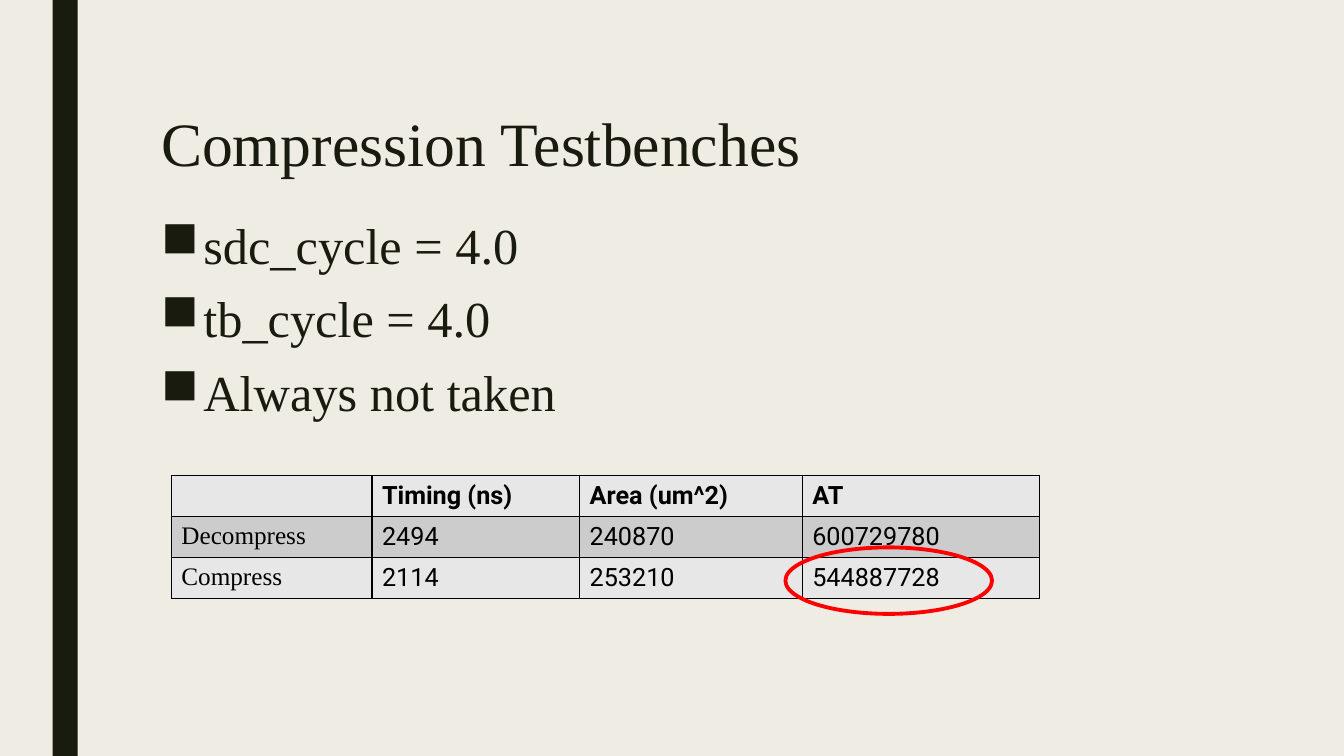
import pptx
import pptx.dml.color
import pptx.enum.shapes
import pptx.enum.text
import pptx.oxml
import pptx.oxml.ns
import pptx.util
from lxml import etree

Pt = pptx.util.Pt
SERIF, SANS = "Times New Roman", "Roboto"
INK, PAPER, BLACK, RED = "191B0E", "EFEDE3", "000000", "FF0000"
LIGHT_ROW, DARK_ROW = "E7E7E7", "CCCCCC"

BULLETS = ["sdc_cycle = 4.0", "tb_cycle = 4.0", "Always not taken"]
RESULTS = [
    ["", "Timing (ns)", "Area (um^2)", "AT"],
    ["Decompress", "2494", "240870", "600729780"],
    ["Compress", "2114", "253210", "544887728"],
]
COLUMN_WIDTHS = [143.3, 148.3, 159.1, 169.2]
ROW_HEIGHT = 29.3


def colour(value):
    """Turn a hex string into a colour."""
    return pptx.dml.color.RGBColor.from_string(value)


def style_font(font, name, size, value, bold=False):
    """Set the face, size, colour and weight of a font."""
    font.name, font.size, font.bold = name, Pt(size), bold
    font.color.rgb = colour(value)


def add_side_bar(slide):
    """Draw the dark vertical bar at the left."""
    bar = slide.shapes.add_shape(
        pptx.enum.shapes.MSO_SHAPE.RECTANGLE, Pt(37.5), Pt(0), Pt(18), Pt(540))
    bar.shadow.inherit = False
    bar.fill.solid()
    bar.fill.fore_color.rgb = colour(INK)
    bar.line.fill.background()


def add_text(slide, lines, left, top, width, height, size, spacing):
    """Add a wrapped serif text box and return its paragraphs."""
    frame = slide.shapes.add_textbox(
        Pt(left), Pt(top), Pt(width), Pt(height)).text_frame
    frame.word_wrap = True
    frame.vertical_anchor = pptx.enum.text.MSO_ANCHOR.TOP
    frame.text = "\n".join(lines)
    for paragraph in frame.paragraphs:
        paragraph.line_spacing = spacing
        style_font(paragraph.runs[0].font, SERIF, size, INK)
    return frame.paragraphs


def add_bullet(paragraph):
    """Give a paragraph a square bullet with a hanging indent."""
    paragraph.space_before, paragraph.space_after = Pt(10), Pt(2)
    properties = paragraph._p.get_or_add_pPr()
    properties.set("marL", str(Pt(30.2)))
    properties.set("indent", str(-Pt(30.2)))
    bullet = etree.SubElement(properties, pptx.oxml.ns.qn("a:buChar"))
    bullet.set("char", "■")


def add_borders(cell):
    """Draw a thin black line on all four sides of a cell."""
    properties = cell._tc.get_or_add_tcPr()
    for position, side in enumerate(["lnL", "lnR", "lnT", "lnB"]):
        properties.insert(position, pptx.oxml.parse_xml(
            f'<a:{side} {pptx.oxml.ns.nsdecls("a")} w="{Pt(1)}"><a:solidFill>'
            f'<a:srgbClr val="{BLACK}"/></a:solidFill></a:{side}>'))


def add_results(slide):
    """Add the table of timing, area and AT."""
    table = slide.shapes.add_table(
        len(RESULTS), len(COLUMN_WIDTHS), Pt(122.4), Pt(339.8),
        Pt(sum(COLUMN_WIDTHS)), Pt(ROW_HEIGHT * len(RESULTS))).table
    for column, width in zip(table.columns, COLUMN_WIDTHS):
        column.width = Pt(width)
    for r, values in enumerate(RESULTS):
        table.rows[r].height = Pt(ROW_HEIGHT)
        for c, value in enumerate(values):
            cell = table.cell(r, c)
            cell.text = value
            style_font(cell.text_frame.paragraphs[0].font,
                       SANS if c else SERIF, 18, BLACK, r == 0)
            for run in cell.text_frame.paragraphs[0].runs:
                style_font(run.font, SANS if c else SERIF, 18, BLACK, r == 0)
            cell.fill.solid()
            cell.fill.fore_color.rgb = colour(DARK_ROW if r % 2 else LIGHT_ROW)
            add_borders(cell)


def add_highlight(slide):
    """Circle the AT of the compress run."""
    ring = slide.shapes.add_shape(
        pptx.enum.shapes.MSO_SHAPE.OVAL, Pt(561), Pt(391), Pt(147.6), Pt(47.5))
    ring.shadow.inherit = False
    ring.fill.background()
    ring.line.color.rgb = colour(RED)
    ring.line.width = Pt(2.75)


def main():
    """Build the slide and save it."""
    deck = pptx.Presentation()
    deck.slide_width, deck.slide_height = Pt(960), Pt(540)
    slide = deck.slides.add_slide(deck.slide_layouts[6])
    slide.background.fill.solid()
    slide.background.fill.fore_color.rgb = colour(PAPER)
    add_side_bar(slide)
    add_text(slide, ["Compression Testbenches"], 108, 77.8, 478.8, 78.5, 44, 0.89)
    for paragraph in add_text(slide, BULLETS, 108, 152.6, 756, 282.2, 36, 0.94):
        add_bullet(paragraph)
    add_results(slide)
    add_highlight(slide)
    deck.save("out.pptx")


if __name__ == "__main__":
    main()
